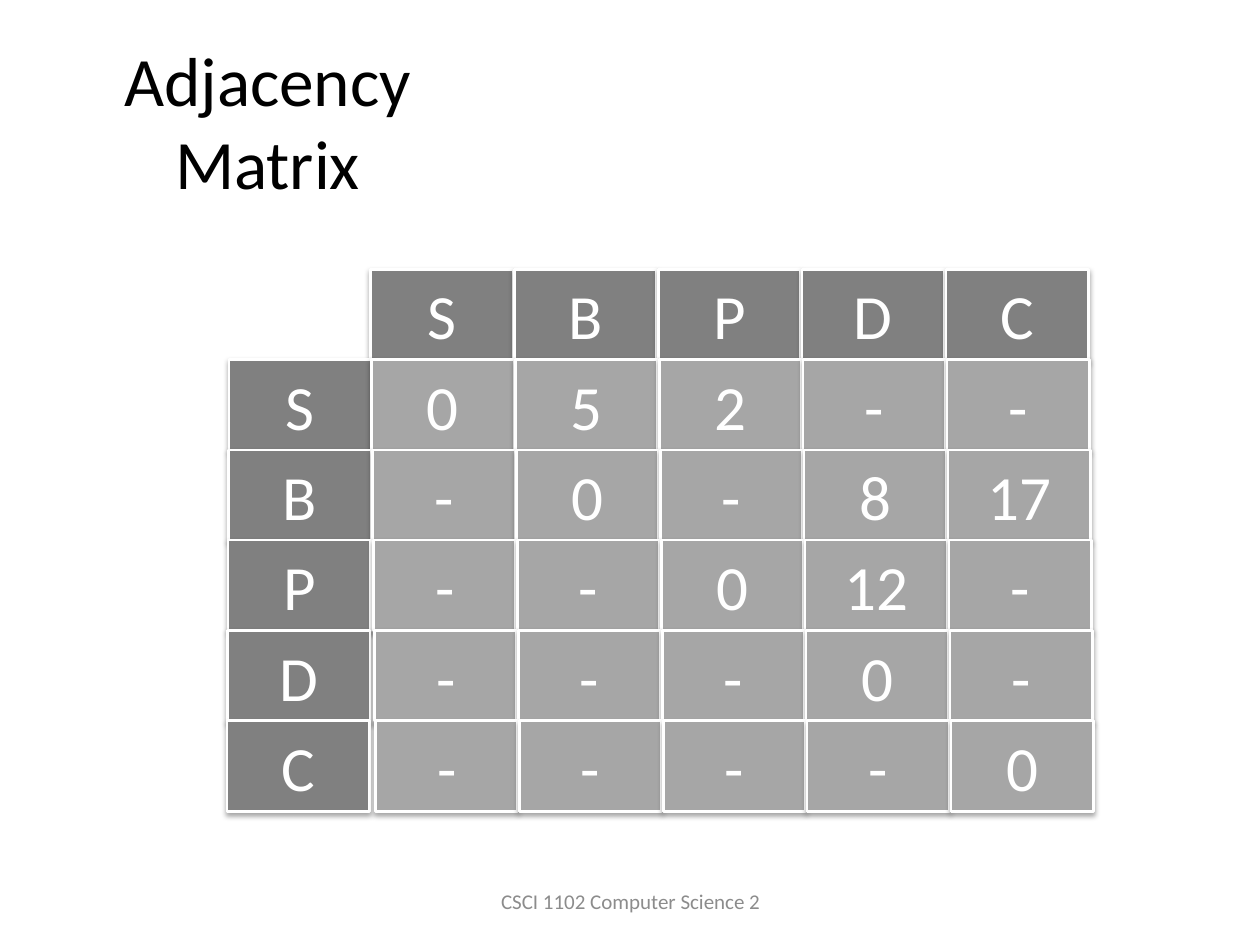
"""Build a slide showing the adjacency matrix of a weighted directed graph."""
from lxml import etree
from pptx import Presentation
from pptx.dml.color import RGBColor
from pptx.enum.shapes import MSO_SHAPE
from pptx.enum.text import MSO_ANCHOR, PP_ALIGN
from pptx.oxml.ns import qn
from pptx.util import Cm, Pt

RECTANGLE = MSO_SHAPE.RECTANGLE
MIDDLE = MSO_ANCHOR.MIDDLE
CENTER = PP_ALIGN.CENTER

BLACK = RGBColor(0x00, 0x00, 0x00)
WHITE = RGBColor(0xFF, 0xFF, 0xFF)
HEADER_GRAY = RGBColor(0x80, 0x80, 0x80)
CELL_GRAY = RGBColor(0xA6, 0xA6, 0xA6)
FOOTER_GRAY = RGBColor(0x8C, 0x8C, 0x8C)

NODES = "SBPDC"
WEIGHTS = [
    ["0", "5", "2", "-", "-"],
    ["-", "0", "-", "8", "17"],
    ["-", "-", "0", "12", "-"],
    ["-", "-", "-", "0", "-"],
    ["-", "-", "-", "-", "0"],
]
CELL_WIDTH, CELL_HEIGHT = 2.87, 1.83
COLUMN_STEP, ROW_STEP = 2.9, 1.82
HEADER_LEFT, MATRIX_LEFT, MATRIX_TOP = 4.62, 7.47, 5.43


def write_text(box, text, size, color):
    frame = box.text_frame
    frame.word_wrap = True
    frame.vertical_anchor = MIDDLE
    frame.text = text
    para = frame.paragraphs[0]
    para.alignment = CENTER
    para.font.name = "Calibri"
    para.font.size = Pt(size)
    para.font.color.rgb = color


def add_cell(page, left, row, text, fill):
    cell = page.shapes.add_shape(
        RECTANGLE, Cm(left), Cm(MATRIX_TOP + row * ROW_STEP), Cm(CELL_WIDTH), Cm(CELL_HEIGHT)
    )
    cell.fill.solid()
    cell.fill.fore_color.rgb = fill
    cell.line.color.rgb = WHITE
    cell.line.width = Pt(1.5)
    cell.shadow.inherit = False
    effects = cell._element.spPr.find(qn("a:effectLst"))
    shadow = etree.SubElement(
        effects, qn("a:outerShdw"), blurRad="40000", dist="23000", dir="5400000", rotWithShape="0"
    )
    tint = etree.SubElement(shadow, qn("a:srgbClr"), val="000000")
    etree.SubElement(tint, qn("a:alpha"), val="35000")
    write_text(cell, text, 36, WHITE)


deck = Presentation()
deck.slide_width, deck.slide_height = Cm(25.4), Cm(19.05)
page = deck.slides.add_slide(deck.slide_layouts[6])

title = page.shapes.add_textbox(Cm(0.3), Cm(0.84), Cm(10.19), Cm(3.18))
write_text(title, "Adjacency\vMatrix", 39.6, BLACK)

footer = page.shapes.add_textbox(Cm(8.69), Cm(17.65), Cm(8.05), Cm(1.02))
write_text(footer, "CSCI 1102 Computer Science 2", 12, FOOTER_GRAY)

for column, node in enumerate(NODES):
    add_cell(page, MATRIX_LEFT + column * COLUMN_STEP, 0, node, HEADER_GRAY)

for row, (node, weights) in enumerate(zip(NODES, WEIGHTS), start=1):
    add_cell(page, HEADER_LEFT - 0.01 * (row - 1), row, node, HEADER_GRAY)
    row_left = MATRIX_LEFT + 0.02 * row
    for column, weight in enumerate(weights):
        add_cell(page, row_left + column * COLUMN_STEP, row, weight, CELL_GRAY)

deck.save("out.pptx")
